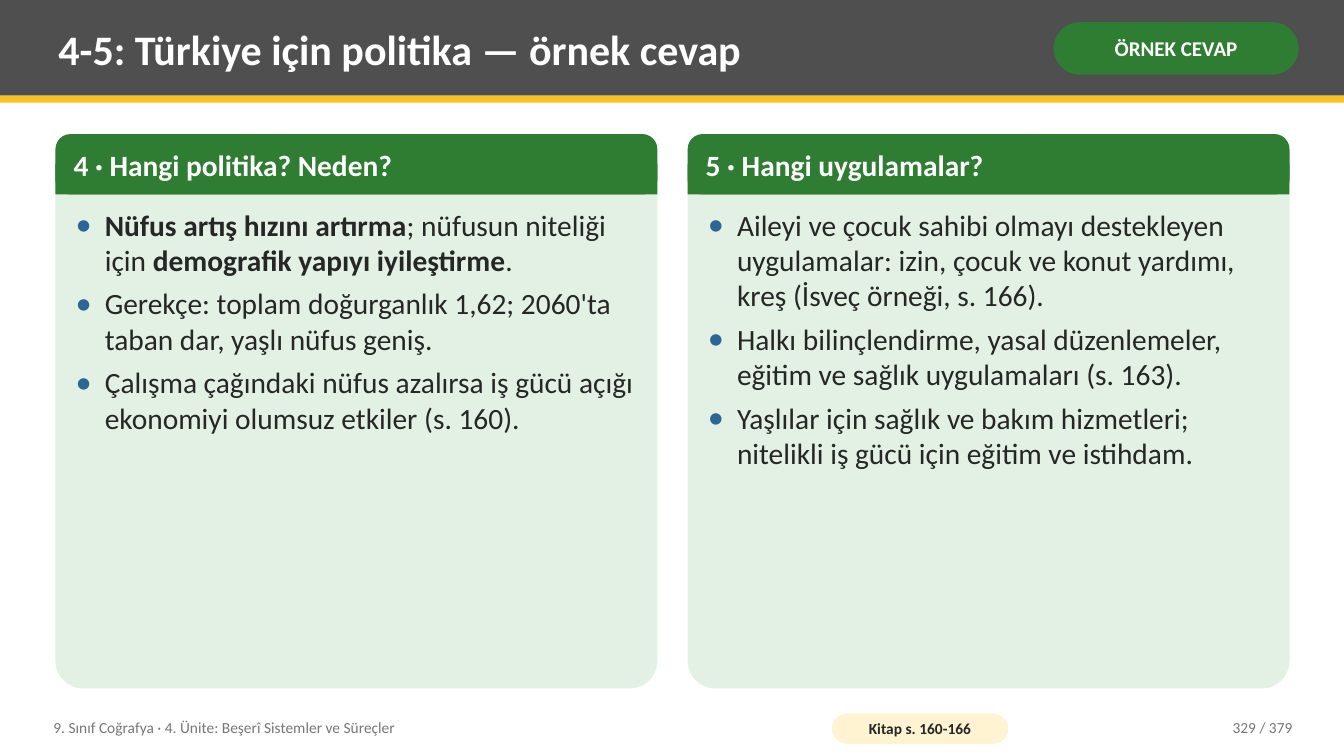
from dataclasses import dataclass

from lxml.etree import SubElement
from pptx import Presentation
from pptx.dml.color import RGBColor as RGB
from pptx.enum.shapes import MSO_SHAPE as SHAPE
from pptx.enum.text import MSO_ANCHOR as ANCHOR, MSO_AUTO_SIZE as AUTO_SIZE, PP_ALIGN as ALIGN
from pptx.oxml.ns import qn
from pptx.util import Inches, Pt


@dataclass(frozen=True)
class Theme:
    font: str = "Calibri"
    white: str = "FFFFFF"
    bar: str = "4F4F4F"
    gold: str = "FCC021"
    green: str = "2E7D32"
    mint: str = "E3F1E4"
    cream: str = "FFF3D1"
    blue: str = "2C6696"
    ink: str = "262626"
    grey: str = "767676"
    title: int = 30
    body: int = 21
    badge: int = 15
    small: int = 11


THEME = Theme()
WIDTH, HEIGHT = 13.33, 7.5
PANEL_WIDTH, PANEL_HEIGHT, PANEL_GAP = 5.97, 5.5, 0.3
HEADING_HEIGHT = 0.6

PANELS = [
    ("4 · Hangi politika? Neden?", [
        "**Nüfus artış hızını artırma**; nüfusun niteliği için **demografik yapıyı iyileştirme**.",
        "Gerekçe: toplam doğurganlık 1,62; 2060'ta taban dar, yaşlı nüfus geniş.",
        "Çalışma çağındaki nüfus azalırsa iş gücü açığı ekonomiyi olumsuz etkiler (s. 160).",
    ]),
    ("5 · Hangi uygulamalar?", [
        "Aileyi ve çocuk sahibi olmayı destekleyen uygulamalar: izin, çocuk ve konut yardımı, "
        "kreş (İsveç örneği, s. 166).",
        "Halkı bilinçlendirme, yasal düzenlemeler, eğitim ve sağlık uygulamaları (s. 163).",
        "Yaşlılar için sağlık ve bakım hizmetleri; nitelikli iş gücü için eğitim ve istihdam.",
    ]),
]


def inches(box):
    return [Inches(length) for length in box]


def add_block(slide, box, color, kind=SHAPE.RECTANGLE, corner=None):
    block = slide.shapes.add_shape(kind, *inches(box))
    block.shadow.inherit = False
    block.fill.solid()
    block.fill.fore_color.rgb = RGB.from_string(color)
    block.line.fill.background()
    if corner is not None:
        block.adjustments[0] = corner
    return block


def set_frame(frame, anchor=ANCHOR.MIDDLE, side=0.08, edge=0.04):
    settings = {
        "word_wrap": True, "auto_size": AUTO_SIZE.NONE, "vertical_anchor": anchor,
        "margin_left": Inches(side), "margin_right": Inches(side),
        "margin_top": Inches(edge), "margin_bottom": Inches(edge),
    }
    for name, value in settings.items():
        setattr(frame, name, value)


def add_run(paragraph, text, size, color, bold):
    run = paragraph.add_run()
    run.text = text
    for name, value in {"name": THEME.font, "size": Pt(size), "bold": bold}.items():
        setattr(run.font, name, value)
    run.font.color.rgb = RGB.from_string(color)


def write_line(shape, text, size, color, bold=True, align=ALIGN.LEFT, **margins):
    set_frame(shape.text_frame, **margins)
    paragraph = shape.text_frame.paragraphs[0]
    paragraph.alignment = align
    add_run(paragraph, text, size, color, bold)


def add_label(slide, box, *style, **options):
    write_line(slide.shapes.add_textbox(*inches(box)), *style, **options)


def add_pill(slide, box, fill, text, size, color, **margins):
    pill = add_block(slide, box, fill, SHAPE.ROUNDED_RECTANGLE, 0.5)
    write_line(pill, text, size, color, align=ALIGN.CENTER, **margins)


def add_bullet(paragraph):
    properties = paragraph._p.get_or_add_pPr()
    properties.set("marL", str(Inches(0.29)))
    properties.set("indent", str(Inches(-0.29)))
    color = SubElement(properties, qn("a:buClr"))
    SubElement(color, qn("a:srgbClr"), val=THEME.blue)
    SubElement(properties, qn("a:buSzPct"), val="110000")
    SubElement(properties, qn("a:buFont"), typeface=THEME.font)
    SubElement(properties, qn("a:buChar"), char="•")


def add_points(slide, box, points):
    frame = slide.shapes.add_textbox(*inches(box)).text_frame
    set_frame(frame, ANCHOR.TOP)
    for index, point in enumerate(points):
        paragraph = frame.add_paragraph() if index else frame.paragraphs[0]
        add_bullet(paragraph)
        if index < len(points) - 1:
            paragraph.space_after = Pt(6)
        for part, text in enumerate(point.split("**")):
            if text:
                add_run(paragraph, text, THEME.body, THEME.ink, part % 2 == 1)


def add_header(slide, box, heading, badge):
    left, top, width, height = box
    add_block(slide, box, THEME.bar)
    add_block(slide, (left, top + height, width, 0.07), THEME.gold)
    title = slide.shapes.title
    slide.shapes.element.append(title.element)
    place = inches((left + 0.5, top + 0.07, 9.75, 0.82))
    for name, value in zip(("left", "top", "width", "height"), place):
        setattr(title, name, value)
    write_line(title, heading, THEME.title, THEME.white)
    add_pill(slide, (left + width - 2.88, top + 0.22, 2.43, 0.52), THEME.green,
             badge, THEME.badge, THEME.white, side=0.05, edge=0.02)


def add_panel(slide, box, heading, points):
    left, top, width, height = box
    half = HEADING_HEIGHT / 2
    add_block(slide, box, THEME.mint, SHAPE.ROUNDED_RECTANGLE, 0.05)
    add_block(slide, (left, top, width, HEADING_HEIGHT), THEME.green, SHAPE.ROUNDED_RECTANGLE, 0.25)
    add_block(slide, (left, top + half, width, half), THEME.green)
    add_label(slide, (left + 0.1, top, width - 0.2, HEADING_HEIGHT),
              heading, THEME.body, THEME.white)
    body_top = HEADING_HEIGHT + 0.08
    add_points(slide, (left + 0.12, top + body_top, width - 0.24, height - body_top - 0.08), points)


def add_footer(slide, box, course, pages, number):
    left, top, width, height = box
    add_label(slide, (left, top, 7.6, height), course, THEME.small, THEME.grey, bold=False)
    add_pill(slide, (left + 7.8, top + 0.04, 1.75, 0.3), THEME.cream,
             pages, THEME.small, THEME.ink, side=0.04, edge=0)
    add_label(slide, (left + width - 1.6, top, 1.6, height),
              number, THEME.small, THEME.grey, bold=False, align=ALIGN.RIGHT)


def main():
    deck = Presentation()
    deck.slide_width, deck.slide_height = inches((WIDTH, HEIGHT))
    slide = deck.slides.add_slide(deck.slide_layouts[5])
    slide.background.fill.solid()
    slide.background.fill.fore_color.rgb = RGB.from_string(THEME.white)
    add_header(slide, (0, 0, WIDTH, 0.95), "4-5: Türkiye için politika — örnek cevap", "ÖRNEK CEVAP")
    for column, (heading, points) in enumerate(PANELS):
        left = 0.55 + column * (PANEL_WIDTH + PANEL_GAP)
        add_panel(slide, (left, 1.33, PANEL_WIDTH, PANEL_HEIGHT), heading, points)
    add_footer(slide, (0.45, 7.04, 12.45, 0.36),
               "9. Sınıf Coğrafya · 4. Ünite: Beşerî Sistemler ve Süreçler",
               "Kitap s. 160-166", "329 / 379")
    deck.save("out.pptx")


if __name__ == "__main__":
    main()
